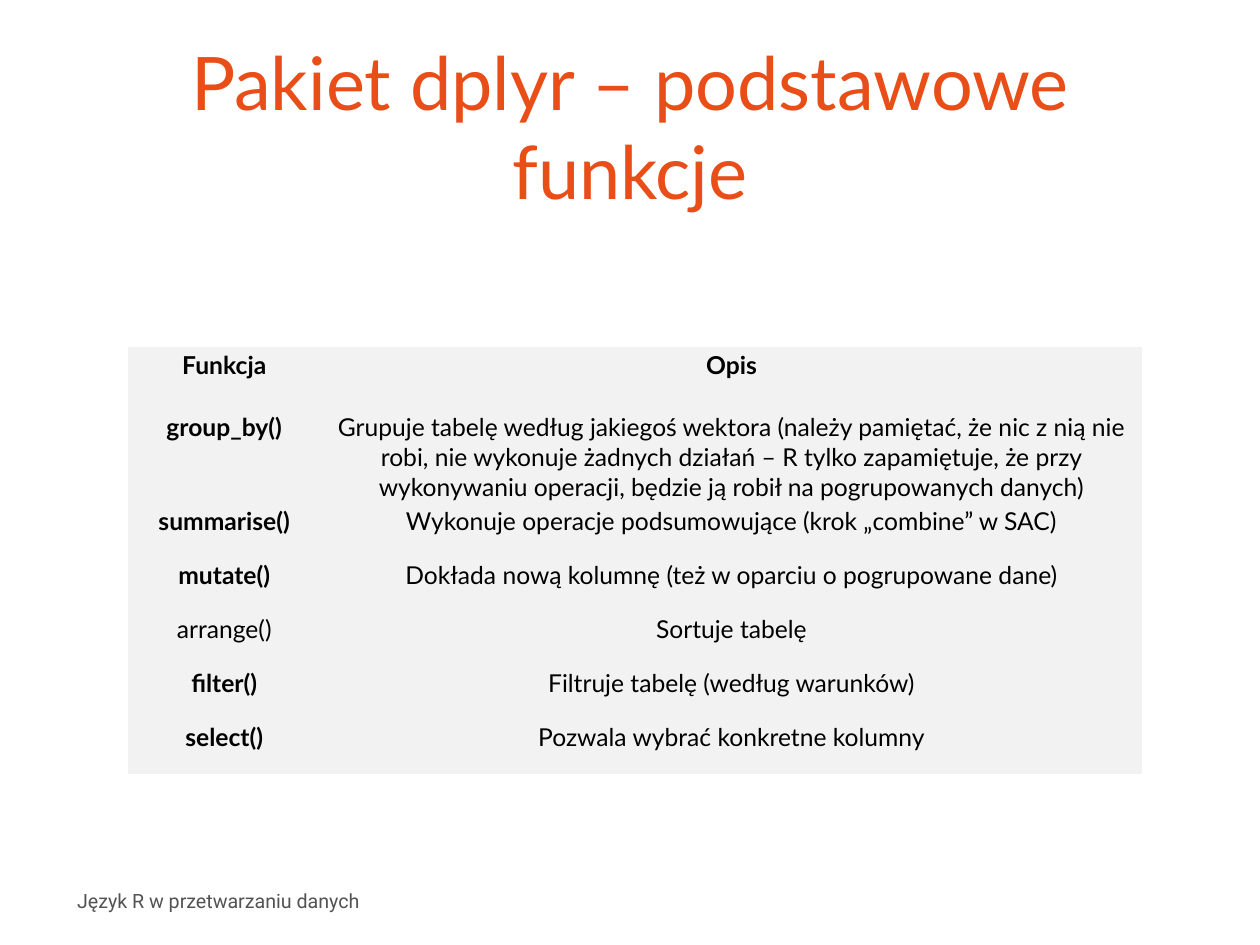
import pptx
import pptx.dml.color
import pptx.enum.text
import pptx.util

Pt = pptx.util.Pt
ANCHOR = pptx.enum.text.MSO_ANCHOR
COLORS = {"title": "E94E19", "footer": "535353", "text": "000000", "cell": "F2F2F2"}
NO_STYLE_NO_GRID = "{2D5ABB26-0587-4C30-8999-92F81FD0307C}"

# Function name, description, whether the name is bold
FUNCTIONS = [
    ("group_by()", "Grupuje tabelę według jakiegoś wektora (należy pamiętać, że nic z nią "
     "nie robi, nie wykonuje żadnych działań – R tylko zapamiętuje, że przy wykonywaniu "
     "operacji, będzie ją robił na pogrupowanych danych)", True),
    ("summarise()", "Wykonuje operacje podsumowujące (krok „combine” w SAC)", True),
    ("mutate()", "Dokłada nową kolumnę (też w oparciu o pogrupowane dane)", True),
    ("arrange()", "Sortuje tabelę", False),
    ("filter()", "Filtruje tabelę (według warunków)", True),
    ("select()", "Pozwala wybrać konkretne kolumny", True),
]


def rgb(name):
    return pptx.dml.color.RGBColor.from_string(COLORS[name])


def write_centred(holder, text, font_name, size, color, inset, bold=False):
    """Fill a text holder (shape or cell) with one centred paragraph."""
    holder.margin_left = holder.margin_right = Pt(inset)
    holder.margin_top = holder.margin_bottom = Pt(inset)
    holder.text_frame.text = text
    para = holder.text_frame.paragraphs[0]
    para.alignment = pptx.enum.text.PP_ALIGN.CENTER
    font = para.runs[0].font
    font.name, font.size, font.bold = font_name, Pt(size), bold
    font.color.rgb = rgb(color)


class FrameHolder:
    """Lets a shape's text frame be written like a table cell."""

    def __new__(cls, shape, anchor):
        frame = shape.text_frame
        frame.word_wrap = True
        frame.auto_size = pptx.enum.text.MSO_AUTO_SIZE.NONE
        frame.vertical_anchor = anchor
        return frame


def write_frame(shape, anchor, text, font_name, size, color, inset):
    frame = shape.text_frame
    frame.word_wrap = True
    frame.auto_size = pptx.enum.text.MSO_AUTO_SIZE.NONE
    frame.vertical_anchor = anchor
    frame.margin_left = frame.margin_right = Pt(inset)
    frame.margin_top = frame.margin_bottom = Pt(inset)
    frame.text = text
    format_para(frame.paragraphs[0], font_name, size, color)


def format_para(para, font_name, size, color, bold=False):
    para.alignment = pptx.enum.text.PP_ALIGN.CENTER
    font = para.runs[0].font
    font.name, font.size, font.bold = font_name, Pt(size), bold
    font.color.rgb = rgb(color)


def add_title(page, box):
    title = page.shapes.title
    title.left, title.top, title.width, title.height = map(Pt, box)
    write_frame(title, ANCHOR.TOP, "Pakiet dplyr – podstawowe funkcje",
                "Lato", 60, "title", 3.6)


def add_footer(page, box):
    footer = page.shapes.add_textbox(*map(Pt, box))
    write_frame(footer, ANCHOR.MIDDLE, "Język R w przetwarzaniu danych",
                "Roboto", 16, "footer", 4)


def add_function_table(page, box):
    rows = [("Funkcja", "Opis", True)] + FUNCTIONS
    left, top, width, height = box
    frame = page.shapes.add_table(len(rows), 2, Pt(left), Pt(top), Pt(width), Pt(height))
    table = frame.table
    table.horz_banding = table.first_row = False
    table._tbl.tblPr.find(pptx.oxml.ns.qn("a:tableStyleId")).text = NO_STYLE_NO_GRID

    # Narrow name column, the rest for descriptions
    name_width = 157
    table.columns[0].width = Pt(name_width)
    table.columns[1].width = Pt(width - name_width)

    # Header a little taller, description rows equal
    header_height = 51
    for row in table.rows:
        row.height = Pt((height - header_height) / len(FUNCTIONS))
    table.rows[0].height = Pt(header_height)

    for row_index, (name, description, bold_name) in enumerate(rows):
        for column, (text, bold) in enumerate(
                [(name, bold_name), (description, row_index == 0)]):
            cell = table.cell(row_index, column)
            cell.fill.solid()
            cell.fill.fore_color.rgb = rgb("cell")
            cell.margin_left = cell.margin_right = Pt(2)
            cell.margin_top = cell.margin_bottom = Pt(2)
            cell.text_frame.text = text
            format_para(cell.text_frame.paragraphs[0], "Lato", 20, "text", bold)


deck = pptx.Presentation()
deck.slide_width, deck.slide_height = Pt(1024), Pt(768)
page = deck.slides.add_slide(deck.slide_layouts[5])

# Regions: left, top, width, height
add_title(page, (58.5, 26.5, 907, 260))
add_footer(page, (24.5, 718.5, 306, 27.5))
add_function_table(page, (103.75, 282.25, 824.5, 314.4))

deck.save("out.pptx")
